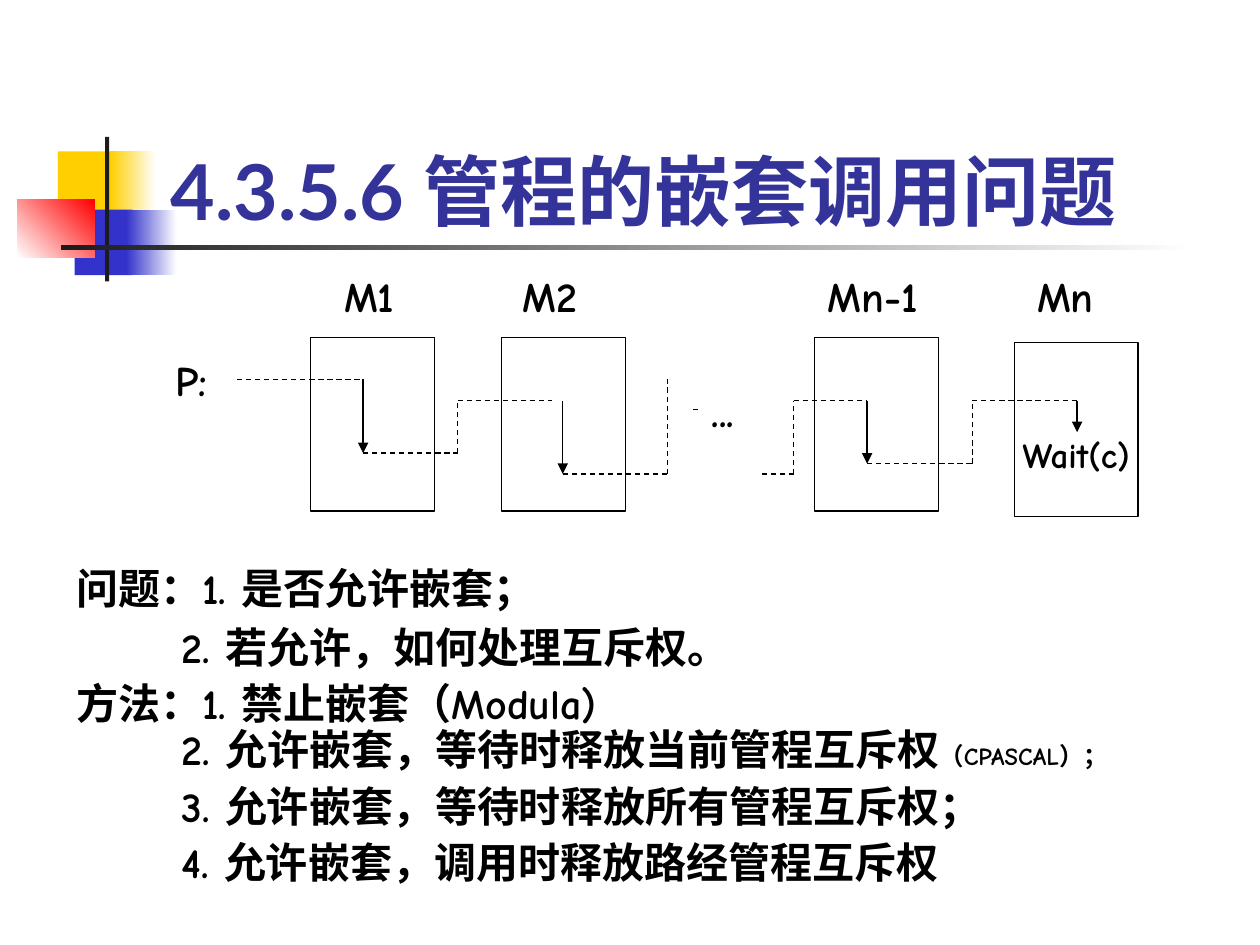
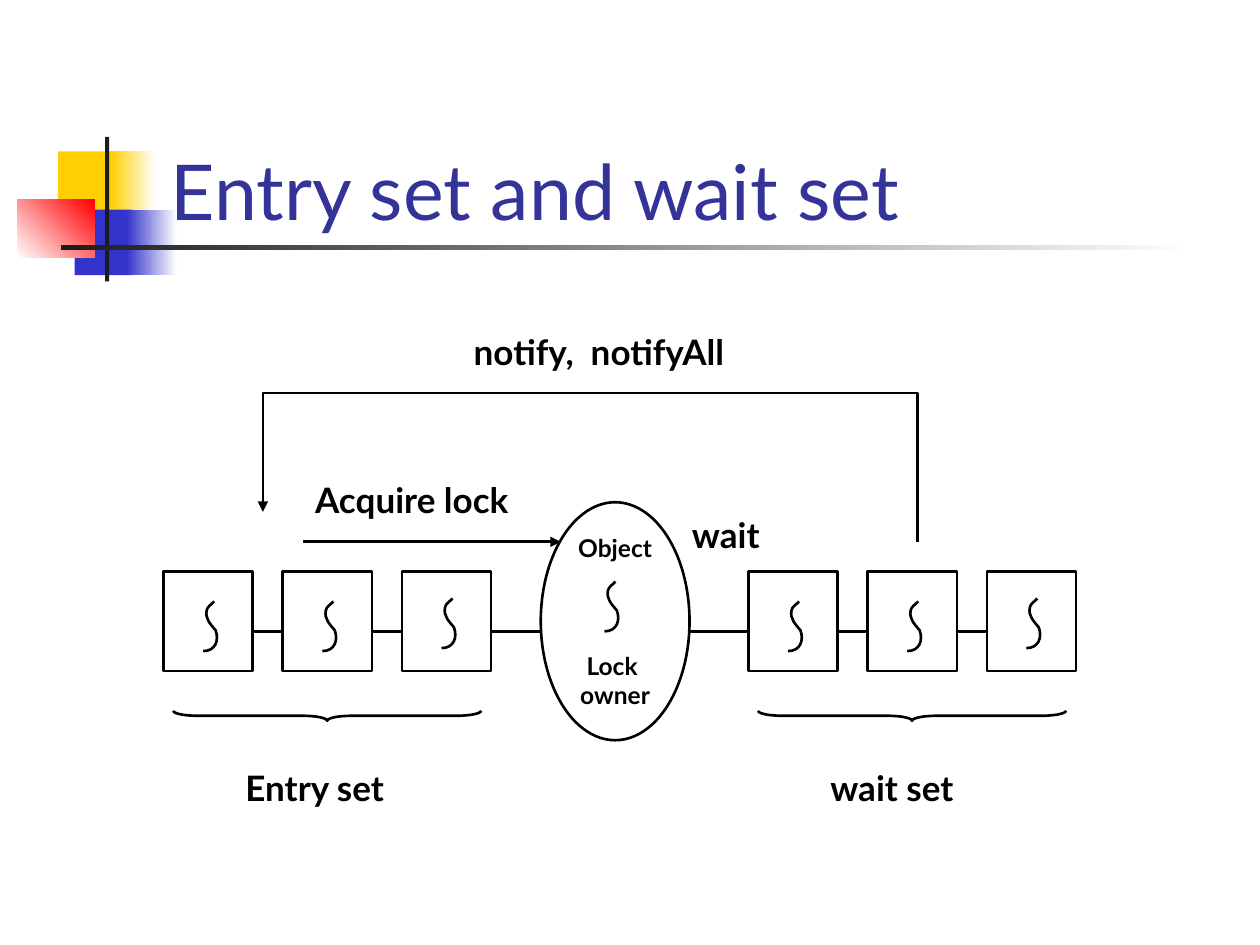
from itertools import pairwise

from lxml import etree
from pptx import Presentation
from pptx.dml.color import RGBColor
from pptx.enum import dml, shapes, text
from pptx.oxml import ns
from pptx.util import Pt

# ---- Shared look ----
COLORS = {
    "ink": "000000", "paper": "FFFFFF", "title": "333399", "yellow": "FFCF01",
    "blue": "3333CC", "red": "FF0000", "rule": "1C1C1C",
}
HAND, SANS = "Comic Neue", "Lato"
TITLE_BOX = (90.5, 48.4, 613.5, 90)
# left, top, width, height, first colour, last colour, gradient angle
EMBLEM = [
    (33.1, 86.5, 34.5, 37.4, "yellow", None, 0),
    (63.1, 86.5, 25.9, 37.4, "yellow", "paper", 0),
    (42.7, 119.8, 33, 37.4, "blue", None, 0),
    (72.2, 119.8, 28.8, 37.4, "blue", "paper", 0),
    (10, 114, 44, 33.2, "paper", "red", 45),
    (60, 78.2, 2.4, 82.6, "rule", None, 0),
    (34.8, 140.2, 648, 2.5, "rule", "paper", 0),
]

# ---- Slide 1: nested monitor calls ----
NESTING_TITLE = "4.3.5.6 管程的嵌套调用问题"
MONITOR_SIZE = (70.8, 99.2)
MONITORS = [(177.5, 192.8), (286.5, 192.8), (465.5, 192.8)]
LAST_MONITOR = (579.6, 195.8)
CALL_ROUTES = [  # dashed
    [(396, 234), (420, 234)],
    [(135.5, 216.8), (207.5, 216.8)],
    [(207.5, 258.9), (261.5, 258.9), (261.5, 229), (315.5, 229)],
    [(321.6, 270.8), (381.5, 270.8), (381.5, 216.8)],
    [(435.5, 270.8), (453.5, 270.8), (453.5, 229), (495.5, 229)],
    [(495.5, 264.9), (555.6, 264.9), (555.6, 229), (615.5, 229)],
]
EXECUTIONS = [(207.5, 216.8, 258.9), (321.6, 229, 270.8),
              (495.5, 229, 264.9), (615.5, 229, 246.9)]
MONITOR_LABELS = [
    ("P:", 93.5, 198.8, 36), ("M1", 189.5, 151, 51), ("M2", 291.5, 151, 54),
    ("Mn", 585.5, 151, 60), ("Mn-1", 465.8, 151, 78), ("...", 399.5, 217, 42),
]
NOTES_BOX = (36.6, 318, 647.5, 191.5)
# runs (text, size), left indent, space before, line spacing
NOTES = [
    ([("问题：1. 是否允许嵌套；", 24)], 0, 0, 1.0),
    ([("2. 若允许，如何处理互斥权。", 24)], 60.2, 15, 0.6),
    ([("方法：1. 禁止嵌套（Modula)", 24)], 0, 15, 0.6),
    ([("2. 允许嵌套，等待时释放当前管程互斥权", 24), ("（CPASCAL）；", 14)], 60.2, 8.8, 0.6),
    ([("3. 允许嵌套，等待时释放所有管程互斥权；", 24)], 60.2, 15, 0.6),
    ([("4. 允许嵌套，调用时释放路经管程互斥权", 24)], 60.2, 15, 0.6),
]

# ---- Slide 2: entry set and wait set ----
SETS_TITLE = "Entry set and wait set"
THREAD_SETS = [("Entry set", 93.5), ("wait set", 427.7)]
CELL_W, CELL_H, CELL_STEP, CELL_TOP = 51, 56.7, 68.1, 326.7
THREAD_RISES = [0, 0, 1.7]
CHAIN_Y = 360.8
OWNER = (309, 287, 85, 136)
OWNER_THREAD = (345.4, 332.4)
OWNER_LINES = [("Object", 0), ("Lock ", 50.4), ("owner", 0)]
ACTIONS = [
    ("wait", 388.3, 289.7, 62.5), ("Acquire lock", 173, 270, 158),
    ("notify,  notifyAll", 263.6, 185.2, 187),
]
ACQUIRE = (173, 309.6), (320.5, 309.6)
NOTIFY_ROUTE = [(524.3, 309.6), (524.3, 224.6), (150.2, 224.6), (150.2, 292.5)]
# start, then three Bezier curves of two controls and an end
THREAD_CURVE = [
    (6.3, 0),
    (5, 1.6), (2.2, 3), (2, 5.2),
    (1, 10), (4.2, 13), (7.1, 16.5),
    (9.2, 22.3), (7, 28.4), (0, 28.4),
]


def rgb(name):
    return RGBColor.from_string(COLORS[name])


def pts(values):
    return [Pt(v) for v in values]


def outline(shape, width, dashed=False, arrow=False):
    shape.line.color.rgb = rgb("ink")
    shape.line.width = Pt(width)
    if dashed:
        shape.line.dash_style = dml.MSO_LINE.DASH
    if arrow:
        ln = shape._element.spPr.find(ns.qn("a:ln"))
        etree.SubElement(ln, ns.qn("a:tailEnd"), type="triangle")


def add_line(slide, start, end, width, **style):
    line = slide.shapes.add_connector(shapes.MSO_CONNECTOR.STRAIGHT, *pts(start + end))
    outline(line, width, **style)
    etree.SubElement(line._element.spPr, ns.qn("a:effectLst"))


def add_open_path(slide, points, arrow=False):
    first, *rest = [tuple(pts(p)) for p in points]
    builder = slide.shapes.build_freeform(*first, scale=1.0)
    builder.add_line_segments(rest, close=False)
    route = builder.convert_to_shape()
    route.shadow.inherit = False
    route.fill.background()
    outline(route, 1.5, arrow=arrow)
    return route


def add_block(slide, kind, box, width, fill="paper"):
    block = slide.shapes.add_shape(kind, *pts(box))
    block.shadow.inherit = False
    block.fill.solid()
    block.fill.fore_color.rgb = rgb(fill)
    if width:
        outline(block, width)
    else:
        block.line.fill.background()
    return block


def add_run(paragraph, words, size, font, bold=True, color="ink"):
    run = paragraph.add_run()
    run.text = words
    run.font.size, run.font.name, run.font.bold = Pt(size), font, bold
    run.font.color.rgb = rgb(color)


def add_text(slide, box, filled=False):
    label = slide.shapes.add_textbox(*pts(box))
    label.text_frame.word_wrap = True
    if filled:
        label.fill.solid()
        label.fill.fore_color.rgb = rgb("paper")
    return label.text_frame


def fill_centered(block, lines, size, font, top_inset=3.6):
    frame = block.text_frame
    frame.word_wrap = False
    frame.vertical_anchor = text.MSO_ANCHOR.MIDDLE
    frame.margin_top = Pt(top_inset)
    for i, (words, before) in enumerate(lines):
        paragraph = frame.add_paragraph() if i else frame.paragraphs[0]
        paragraph.alignment = text.PP_ALIGN.CENTER
        if before:
            paragraph.space_before = Pt(before)
        add_run(paragraph, words, size, font)


def move_emblem_to_layout(slide):
    """Draw the emblem, then hand its parts to the layout behind every slide."""
    tree = slide.slide_layout.shapes._spTree
    for i, (*box, first, last, angle) in enumerate(EMBLEM):
        part = add_block(slide, shapes.MSO_SHAPE.RECTANGLE, box, 0, first)
        if last:
            part.fill.gradient()
            part.fill.gradient_angle = angle
            for stop, color in zip(part.fill.gradient_stops, (first, last)):
                stop.color.rgb = rgb(color)
        part._element.nvSpPr.cNvPr.set("id", str(100 + i))
        tree.insert(2 + i, part._element)


def add_titled_slide(prs, words, bold):
    slide = prs.slides.add_slide(prs.slide_layouts[5])
    title = slide.shapes.title
    title.left, title.top, title.width, title.height = pts(TITLE_BOX)
    frame = title.text_frame
    frame.auto_size = text.MSO_AUTO_SIZE.NONE
    frame.vertical_anchor = text.MSO_ANCHOR.BOTTOM
    frame.paragraphs[0].alignment = text.PP_ALIGN.LEFT
    add_run(frame.paragraphs[0], words, 44, SANS, bold, "title")
    return slide


def build_nesting(prs):
    slide = add_titled_slide(prs, NESTING_TITLE, True)
    move_emblem_to_layout(slide)
    # Monitors
    for corner in MONITORS:
        add_block(slide, shapes.MSO_SHAPE.RECTANGLE, corner + MONITOR_SIZE, 0.75)
    waiting = add_block(slide, shapes.MSO_SHAPE.RECTANGLE, LAST_MONITOR + MONITOR_SIZE, 0.75)
    fill_centered(waiting, [("Wait(c)", 0)], 20, HAND, top_inset=32)
    # Calls and executions
    for route in CALL_ROUTES:
        for start, end in pairwise(route):
            add_line(slide, start, end, 0.75, dashed=True)
    for x, top, bottom in EXECUTIONS:
        add_line(slide, (x, top), (x, bottom), 0.75, arrow=True)
    for words, left, top, width in MONITOR_LABELS:
        frame = add_text(slide, (left, top, width, 36), filled=True)
        add_run(frame.paragraphs[0], words, 24, HAND)
    # Questions and methods
    frame = add_text(slide, NOTES_BOX)
    for i, (runs, indent, before, spacing) in enumerate(NOTES):
        paragraph = frame.add_paragraph() if i else frame.paragraphs[0]
        paragraph._p.get_or_add_pPr().set("marL", str(Pt(indent)))
        paragraph.line_spacing = spacing
        if before:
            paragraph.space_before = Pt(before)
        for words, size in runs:
            add_run(paragraph, words, size, HAND)


def add_thread(slide, left, top):
    thread = add_open_path(slide, [(left + x, top + y) for x, y in THREAD_CURVE])
    # Turn every three straight segments into one Bezier curve
    segments = list(thread._element.iter(ns.qn("a:lnTo")))
    for i in range(0, len(segments), 3):
        curve = etree.Element(ns.qn("a:cubicBezTo"))
        segments[i].addprevious(curve)
        for segment in segments[i:i + 3]:
            curve.append(segment[0])
            segment.getparent().remove(segment)


def add_action(slide, words, left, top, width):
    frame = add_text(slide, (left, top, width, 31.5))
    add_run(frame.paragraphs[0], words, 20, SANS)


def build_sets(prs):
    slide = add_titled_slide(prs, SETS_TITLE, False)
    # Lock owner
    owner = add_block(slide, shapes.MSO_SHAPE.OVAL, OWNER, 1.5)
    fill_centered(owner, OWNER_LINES, 14, SANS)
    add_thread(slide, *OWNER_THREAD)
    # Thread queues, each with brace and caption
    chain = [(OWNER[0], OWNER[0] + OWNER[2])]
    for caption, left in THREAD_SETS:
        for i, rise in enumerate(THREAD_RISES):
            x = left + i * CELL_STEP
            add_block(slide, shapes.MSO_SHAPE.RECTANGLE, (x, CELL_TOP, CELL_W, CELL_H), 1.5)
            add_thread(slide, x + 22.6, CELL_TOP + 17 - rise)
            chain.append((x, x + CELL_W))
        brace = add_block(slide, shapes.MSO_SHAPE.LEFT_BRACE, (left + 90.6, 321, 5.7, 176), 1.5)
        brace.fill.background()
        brace.rotation = 270
        brace.adjustments[0] = 2.5
        add_action(slide, caption, left + 39.7, 434.3, 107.5)
    # Chain through the queues and the owner
    for (_, start), (end, _) in pairwise(sorted(chain)):
        add_line(slide, (start, CHAIN_Y), (end, CHAIN_Y), 1.5)
    # Actions
    add_line(slide, *ACQUIRE, 1.5, arrow=True)
    add_open_path(slide, NOTIFY_ROUTE, arrow=True)
    for action in ACTIONS:
        add_action(slide, *action)


def main():
    prs = Presentation()
    prs.slide_width, prs.slide_height = Pt(720), Pt(540)
    build_nesting(prs)
    build_sets(prs)
    prs.save("out.pptx")


if __name__ == "__main__":
    main()
